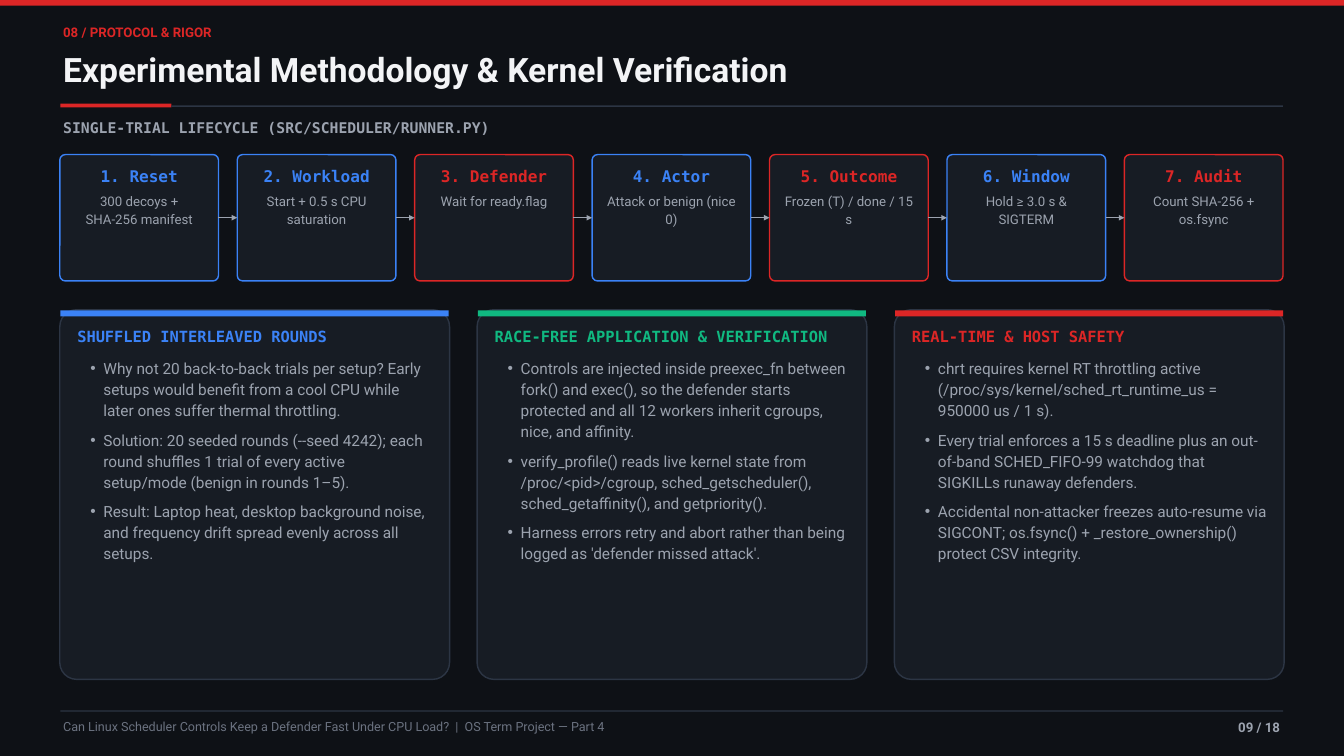
from lxml.etree import SubElement
from pptx import Presentation
from pptx.dml.color import RGBColor
from pptx.enum.shapes import MSO_CONNECTOR, MSO_SHAPE
from pptx.enum.text import MSO_ANCHOR, MSO_AUTO_SIZE, PP_ALIGN
from pptx.oxml.ns import qn
from pptx.util import Pt

RED, BLUE, GREEN = "DC2626", "3B82F6", "10B981"
PANEL, RULE, GRAY = "171C24", "2C3544", "9CA3AF"
SANS, MONO = "Roboto", "DejaVu Sans Mono"
color = RGBColor.from_string

deck = Presentation()
deck.slide_width, deck.slide_height = Pt(1440), Pt(810)
page = deck.slides.add_slide(deck.slide_layouts[4])
page.background.fill.solid()
page.background.fill.fore_color.rgb = color("0E1116")


def block(left, top, width, height, fill, line=None, corner=None):
    kind = MSO_SHAPE.ROUNDED_RECTANGLE if corner else MSO_SHAPE.RECTANGLE
    shape = page.shapes.add_shape(kind, Pt(left), Pt(top), Pt(width), Pt(height))
    shape.shadow.inherit = False
    shape.fill.solid()
    shape.fill.fore_color.rgb = color(fill)
    if corner:
        shape.adjustments[0] = corner / min(width, height)
    if line:
        shape.line.color.rgb = color(line)
        shape.line.width = Pt(1.5)
    else:
        shape.line.fill.background()
    return shape


def write(box, text, font, size, ink, spacing, bold=True, before=0,
          align=PP_ALIGN.LEFT, bullet=False):
    frame = box.text_frame
    para = frame.add_paragraph() if frame.text else frame.paragraphs[0]
    para.text = text
    para.level = 1 if bullet else 0
    props = para._p.get_or_add_pPr()
    props.set("marL", str(Pt(28) if bullet else 0))
    props.set("indent", str(Pt(-14) if bullet else 0))
    if bullet:
        SubElement(props, qn("a:buChar")).set("char", "•")
    else:
        SubElement(props, qn("a:buNone"))
    para.alignment = align
    para.line_spacing = Pt(spacing)
    para.space_before = Pt(before)
    para.font.name = font
    para.font.size = Pt(size)
    para.font.bold = bold
    para.font.color.rgb = color(ink)


# Header and footer rules
block(0, 0, 1440, 6, RED)
block(64.8, 111, 118.8, 4, RED)
block(183.6, 113, 1191, 1.5, RULE)
block(64.8, 761, 1310, 1.5, RULE)

# Trial steps
steps = [
    ("1. Reset", "300 decoys + SHA-256 manifest", BLUE),
    ("2. Workload", "Start + 0.5 s CPU saturation", BLUE),
    ("3. Defender", "Wait for ready.flag", RED),
    ("4. Actor", "Attack or benign (nice 0)", BLUE),
    ("5. Outcome", "Frozen (T) / done / 15 s", RED),
    ("6. Window", "Hold ≥ 3.0 s & SIGTERM", BLUE),
    ("7. Audit", "Count SHA-256 + os.fsync", RED),
]
step_boxes = []
for i, (name, detail, accent) in enumerate(steps):
    step = block(64.1 + 190.1 * i, 165.6, 170, 135.4, PANEL, accent, 5.8)
    frame = step.text_frame
    frame.word_wrap = True
    frame.vertical_anchor = MSO_ANCHOR.TOP
    frame.margin_left = frame.margin_right = Pt(12.7)
    frame.margin_top = Pt(8.4)
    write(step, name, MONO, 17.2, accent, 23.8, align=PP_ALIGN.CENTER)
    write(step, detail, SANS, 14.2, GRAY, 19.1, bold=False, before=6,
          align=PP_ALIGN.CENTER)
    step_boxes.append(step)

# Arrows between steps
for start, end in zip(step_boxes, step_boxes[1:]):
    arrow = page.shapes.add_connector(MSO_CONNECTOR.STRAIGHT, 0, 0, 0, 0)
    arrow.begin_connect(start, 3)
    arrow.end_connect(end, 1)
    arrow.line.color.rgb = color(GRAY)
    arrow.line.width = Pt(1.5)
    SubElement(arrow.line._get_or_add_ln(), qn("a:tailEnd")).set("type", "triangle")
    SubElement(arrow._element.spPr, qn("a:effectLst"))

# Cards with their lists
cards = [
    ("SHUFFLED INTERLEAVED ROUNDS", BLUE, [
        "Why not 20 back-to-back trials per setup? Early setups would benefit "
        "from a cool CPU while later ones suffer thermal throttling.",
        "Solution: 20 seeded rounds (--seed 4242); each round shuffles 1 trial "
        "of every active setup/mode (benign in rounds 1–5).",
        "Result: Laptop heat, desktop background noise, and frequency drift "
        "spread evenly across all setups.",
    ]),
    ("RACE-FREE APPLICATION & VERIFICATION", GREEN, [
        "Controls are injected inside preexec_fn between fork() and exec(), so "
        "the defender starts protected and all 12 workers inherit cgroups, "
        "nice, and affinity.",
        "verify_profile() reads live kernel state from /proc/<pid>/cgroup, "
        "sched_getscheduler(), sched_getaffinity(), and getpriority().",
        "Harness errors retry and abort rather than being logged as "
        "'defender missed attack'.",
    ]),
    ("REAL-TIME & HOST SAFETY", RED, [
        "chrt requires kernel RT throttling active "
        "(/proc/sys/kernel/sched_rt_runtime_us = 950000 us / 1 s).",
        "Every trial enforces a 15 s deadline plus an out-of-band SCHED_FIFO-99 "
        "watchdog that SIGKILLs runaway defenders.",
        "Accidental non-attacker freezes auto-resume via SIGCONT; os.fsync() + "
        "_restore_ownership() protect CSV integrity.",
    ]),
]
title, section, *lists = page.placeholders
areas = [(title, 67.7, 45.4, 1336.7, 57.6), (section, 67.7, 124.6, 1304, 33.8)]
for i, (heading, accent, points) in enumerate(cards):
    left = 64.1 + 447.1 * i
    block(left, 331.9, 417.6, 396, PANEL, RULE, 18)
    block(left + 0.7, 332.6, 415.8, 6.5, accent)
    areas.append((lists[i], left + 18.7, 347, 380.2, 366.5))
    write(lists[i], heading, MONO, 16.5, accent, 22.8)
    for j, point in enumerate(points):
        write(lists[i], point, SANS, 16.5, GRAY, 22.6, bold=False,
              before=9 if j else 12, bullet=True)

# Title, section label and small texts
write(title, "Experimental Methodology & Kernel Verification", SANS, 36, "F3F4F6", 49.7)
write(section, "SINGLE-TRIAL LIFECYCLE (SRC/SCHEDULER/RUNNER.PY)", MONO, 15.8, GRAY, 21.7)
eyebrow, footer, number = [page.shapes.add_textbox(0, 0, 0, 0) for _ in range(3)]
write(eyebrow, "08 / PROTOCOL & RIGOR", SANS, 14.2, RED, 19.7)
write(footer, "Can Linux Scheduler Controls Keep a Defender Fast Under CPU Load?\u00a0 |\u00a0 "
      "OS Term Project — Part 4".replace("\u00a0", " "), SANS, 13.5, "6B7280", 18.6, bold=False)
write(number, "09 / 18", SANS, 14.2, GRAY, 19.7, align=PP_ALIGN.RIGHT)
areas += [(eyebrow, 67.7, 23.8, 1020, 28.8), (footer, 67.7, 767.5, 1020, 28.8),
          (number, 1212.5, 767.5, 159, 28.8)]

# Place the texts in front of the panels
for box, left, top, width, height in areas:
    box.left, box.top, box.width, box.height = Pt(left), Pt(top), Pt(width), Pt(height)
    frame = box.text_frame
    frame.word_wrap = True
    frame.auto_size = MSO_AUTO_SIZE.NONE
    frame.vertical_anchor = MSO_ANCHOR.TOP
    frame.margin_left = frame.margin_top = frame.margin_right = frame.margin_bottom = 0
    page.shapes._spTree.append(box._element)

deck.save("out.pptx")
